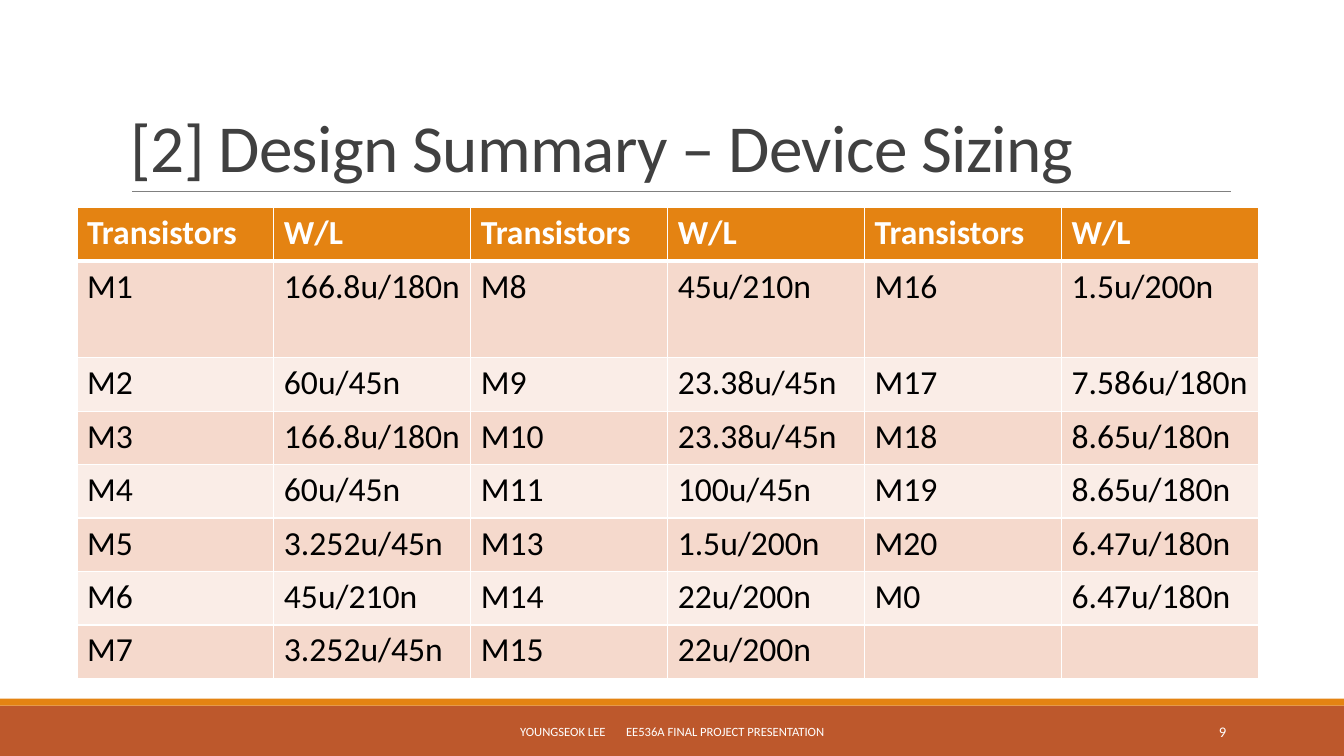
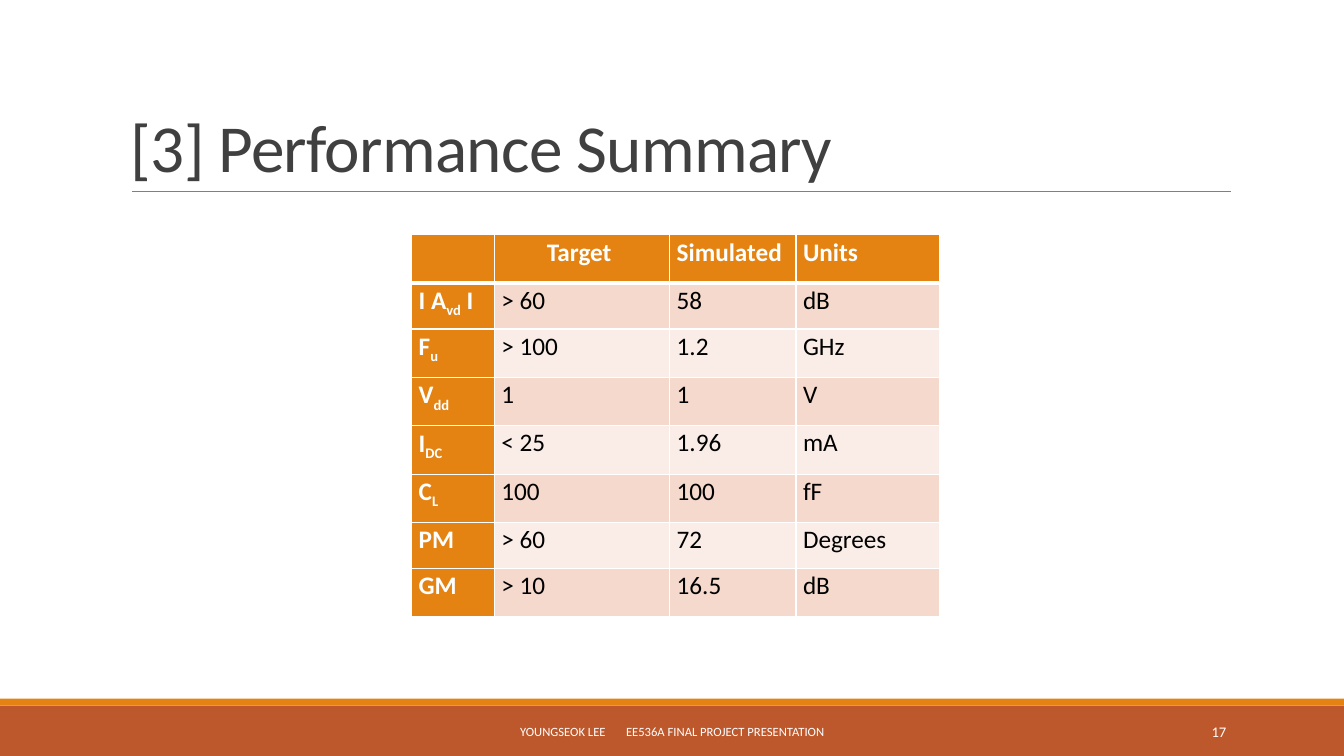
from dataclasses import dataclass
from typing import NamedTuple

from lxml.etree import SubElement
from pptx import Presentation
from pptx.dml.color import RGBColor
from pptx.enum.shapes import MSO_CONNECTOR, MSO_SHAPE
from pptx.enum.text import MSO_ANCHOR, PP_ALIGN
from pptx.oxml import parse_xml
from pptx.oxml.ns import nsdecls, qn
from pptx.util import Inches, Length, Pt


@dataclass(frozen=True)
class Theme:
    font: str = "Calibri"
    accent: str = "E48312"
    band: str = "BD582C"
    rule: str = "808080"
    title: str = "404040"
    body: str = "000000"
    light: str = "FFFFFF"
    stripes: tuple[str, str] = ("F5D9CC", "FAEDE7")
    title_size: float = 48
    footer_size: float = 9
    number_size: float = 10.5


class Area(NamedTuple):
    """A frame in hundredths of the slide's width and height."""
    left: float
    top: float
    width: float
    height: float


@dataclass(frozen=True)
class TextStyle:
    size: float
    color: str
    bold: bool = False
    align: PP_ALIGN = PP_ALIGN.LEFT
    spacing: float = 1.0


@dataclass(frozen=True)
class TableSpec:
    left: float
    top: float
    columns: list[float]
    rows: list[float]
    size: float
    cells: list[list[str]]
    margins: tuple[float, float] = (0.1, 0.05)
    spacing: float = 1.0
    row_headings: bool = False
    centered_headings: tuple[int, ...] = ()


@dataclass(frozen=True)
class SlideSpec:
    title: str
    number: int
    table: TableSpec


THEME = Theme()
SLIDE_WIDTH, SLIDE_HEIGHT = Inches(13.33), Inches(7.5)
AUTHOR, COURSE = "YOUNGSEOK LEE", "EE536A FINAL PROJECT PRESENTATION"

# Places shared by both slides
BAND = Area(0, 93.33, 100, 6.67)
STRIPE = Area(0, 92.4, 100, 0.93)
RULE = Area(9.83, 25.33, 81.77, 0)
TITLE = Area(9, 4.13, 82.5, 21.2)
FOOTER = Area(30.23, 94.13, 39.53, 5.33)
NUMBER = Area(81.25, 94.13, 10.73, 5.33)

# Text between bars is set as a subscript
SLIDES = [
    SlideSpec("[2] Design Summary – Device Sizing", 9, TableSpec(
        left=5.73, top=27.47, size=24,
        columns=[14.65] * 6, rows=[7.07, 12.8] + [7.07] * 6,
        cells=[
            ["Transistors", "W/L"] * 3,
            ["M1", "166.8u/180n", "M8", "45u/210n", "M16", "1.5u/200n"],
            ["M2", "60u/45n", "M9", "23.38u/45n", "M17", "7.586u/180n"],
            ["M3", "166.8u/180n", "M10", "23.38u/45n", "M18", "8.65u/180n"],
            ["M4", "60u/45n", "M11", "100u/45n", "M19", "8.65u/180n"],
            ["M5", "3.252u/45n", "M13", "1.5u/200n", "M20", "6.47u/180n"],
            ["M6", "45u/210n", "M14", "22u/200n", "M0", "6.47u/180n"],
            ["M7", "3.252u/45n", "M15", "22u/200n", "", ""],
        ])),
    SlideSpec("[3] Performance Summary", 17, TableSpec(
        left=30.63, top=31.07, size=18,
        columns=[6.15, 13.05, 9.4, 10.68],
        rows=[6.4, 6.05] + [6.4] * 4 + [6.05, 6.4],
        margins=(0.07, 0), spacing=1.07,
        row_headings=True, centered_headings=(1,),
        cells=[
            ["", "Target ", "Simulated", "Units"],
            ["I A|vd| I", "> 60", "58", "dB"],
            ["F|u|", "> 100", "1.2", "GHz"],
            ["V|dd|", "1", "1", "V"],
            ["I|DC|", "< 25", "1.96", "mA"],
            ["C|L|", "100", "100", "fF"],
            ["PM", "> 60", "72", "Degrees"],
            ["GM", "> 10", "16.5", "dB"],
        ])),
]


def across(share: float) -> Length:
    return Length(round(SLIDE_WIDTH * share / 100))


def down(share: float) -> Length:
    return Length(round(SLIDE_HEIGHT * share / 100))


def place(area: Area) -> tuple[Length, Length, Length, Length]:
    return across(area.left), down(area.top), across(area.width), down(area.height)


def rgb(color: str) -> RGBColor:
    return RGBColor.from_string(color)


def write(para, text: str, style: TextStyle) -> None:
    """Fill a paragraph, setting every second part as a subscript."""
    para.alignment = style.align
    para.line_spacing = style.spacing
    font = para.font
    font.name, font.size, font.bold = THEME.font, Pt(style.size), style.bold
    font.color.rgb = rgb(style.color)
    for index, part in enumerate(text.split("|")):
        if part:
            span = para.add_run()
            span.text = part
            if index % 2:
                span._r.get_or_add_rPr().set("baseline", "-25000")


def add_text(page, area: Area, text: str, style: TextStyle, anchor: MSO_ANCHOR):
    box = page.shapes.add_textbox(*place(area))
    frame = box.text_frame
    frame.word_wrap = True
    frame.vertical_anchor = anchor
    write(frame.paragraphs[0], text, style)
    return frame


def add_band(page, area: Area, color: str) -> None:
    band = page.shapes.add_shape(MSO_SHAPE.RECTANGLE, *place(area))
    band.shadow.inherit = False
    band.fill.solid()
    band.fill.fore_color.rgb = rgb(color)
    band.line.fill.background()


def add_rule(page, area: Area) -> None:
    left, top, width, height = place(area)
    rule = page.shapes.add_connector(
        MSO_CONNECTOR.STRAIGHT, left, top, left + width, top + height)
    rule.line.color.rgb = rgb(THEME.rule)
    rule.line.width = Pt(0.5)
    SubElement(rule._element.spPr, qn("a:effectLst"))


def add_frame(page, title: str, number: int) -> None:
    # Bands and title rule
    add_band(page, BAND, THEME.band)
    add_band(page, STRIPE, THEME.accent)
    add_rule(page, RULE)

    # Title, slightly condensed
    heading = add_text(page, TITLE, title,
                       TextStyle(THEME.title_size, THEME.title, spacing=0.85),
                       MSO_ANCHOR.BOTTOM)
    for span in heading.paragraphs[0].runs:
        span._r.get_or_add_rPr().set("spc", "-50")

    # Footer: the course follows the author at a tab stop
    footer = add_text(page, FOOTER, f"{AUTHOR}\t{COURSE}",
                      TextStyle(THEME.footer_size, THEME.light), MSO_ANCHOR.MIDDLE)
    footer.margin_left, footer.margin_right = Inches(1.13), 0
    properties = footer.paragraphs[0]._p.get_or_add_pPr()
    tabs = parse_xml(f'<a:tabLst {nsdecls("a")}>'
                     f'<a:tab pos="{Inches(1.05)}" algn="l"/></a:tabLst>')
    properties.find(qn("a:defRPr")).addprevious(tabs)

    add_text(page, NUMBER, str(number),
             TextStyle(THEME.number_size, THEME.light, align=PP_ALIGN.RIGHT),
             MSO_ANCHOR.MIDDLE)


def set_borders(cell, top: float, bottom: float) -> None:
    """Draw white borders; they stand before the fill in the cell's XML."""
    properties = cell._tc.get_or_add_tcPr()
    widths = {"lnL": 1, "lnR": 1, "lnT": top, "lnB": bottom}
    for index, (side, width) in enumerate(widths.items()):
        properties.insert(index, parse_xml(
            f'<a:{side} {nsdecls("a")} w="{Pt(width)}"><a:solidFill>'
            f'<a:srgbClr val="{THEME.light}"/></a:solidFill></a:{side}>'))


def add_data_table(page, spec: TableSpec) -> None:
    area = Area(spec.left, spec.top, sum(spec.columns), sum(spec.rows))
    table = page.shapes.add_table(
        len(spec.rows), len(spec.columns), *place(area)).table
    table.first_row = table.horz_banding = False
    for column, width in zip(table.columns, spec.columns):
        column.width = across(width)
    for row, height in zip(table.rows, spec.rows):
        row.height = down(height)

    for row_index, texts in enumerate(spec.cells):
        for column_index, text in enumerate(texts):
            cell = table.cell(row_index, column_index)
            top_row = row_index == 0
            heading = top_row or (spec.row_headings and column_index == 0)
            centered = top_row and column_index in spec.centered_headings
            cell.margin_left = cell.margin_right = Inches(spec.margins[0])
            cell.margin_top = cell.margin_bottom = Inches(spec.margins[1])
            cell.fill.solid()
            cell.fill.fore_color.rgb = rgb(
                THEME.accent if heading else THEME.stripes[(row_index - 1) % 2])
            set_borders(cell, top=3 if row_index == 1 else 1,
                        bottom=3 if top_row else 1)
            write(cell.text_frame.paragraphs[0], text, TextStyle(
                spec.size, THEME.light if heading else THEME.body, heading,
                PP_ALIGN.CENTER if centered else PP_ALIGN.LEFT, spec.spacing))


def main() -> None:
    deck = Presentation()
    deck.slide_width, deck.slide_height = SLIDE_WIDTH, SLIDE_HEIGHT
    for spec in SLIDES:
        page = deck.slides.add_slide(deck.slide_layouts[6])
        add_frame(page, spec.title, spec.number)
        add_data_table(page, spec.table)
    deck.save("out.pptx")


if __name__ == "__main__":
    main()
